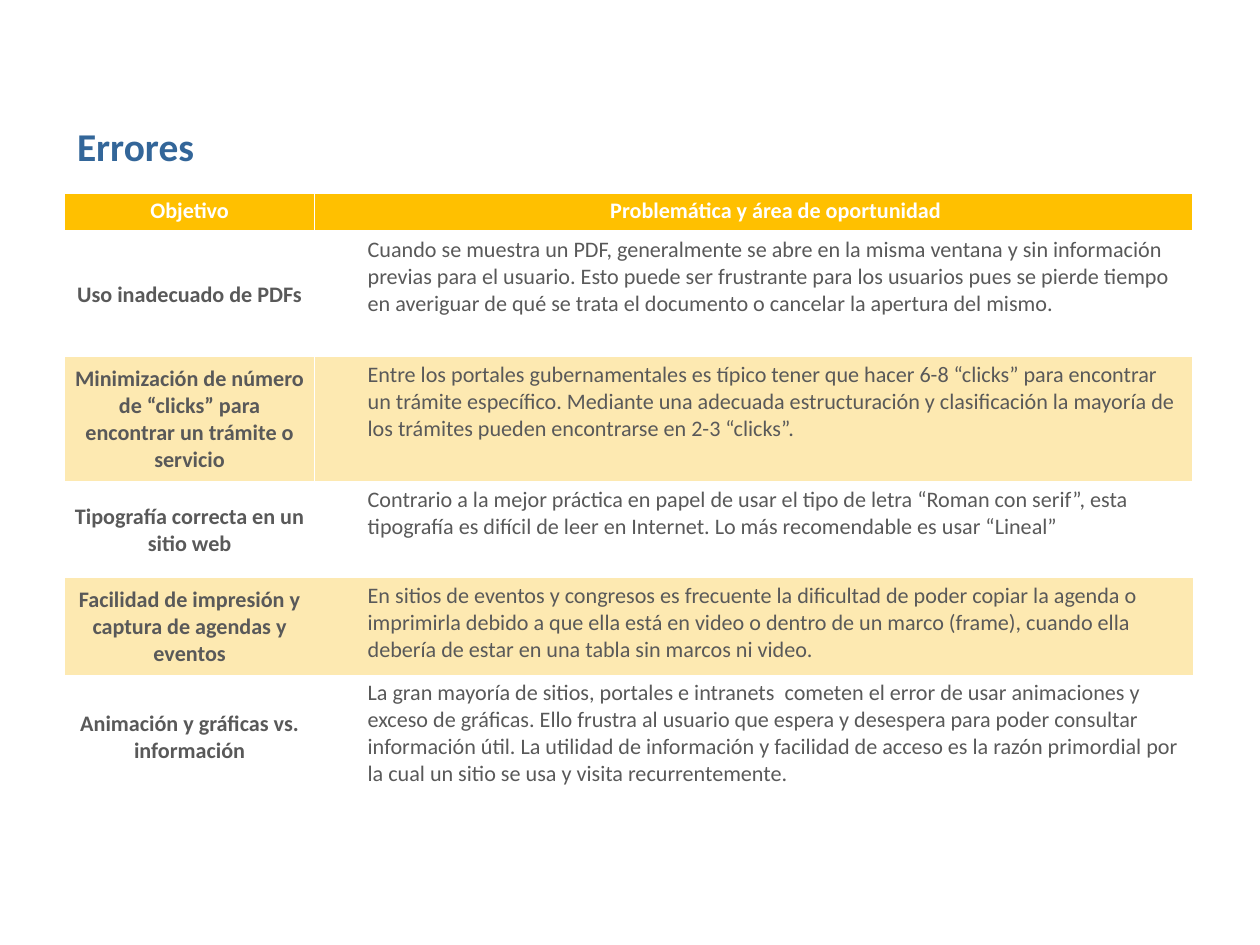
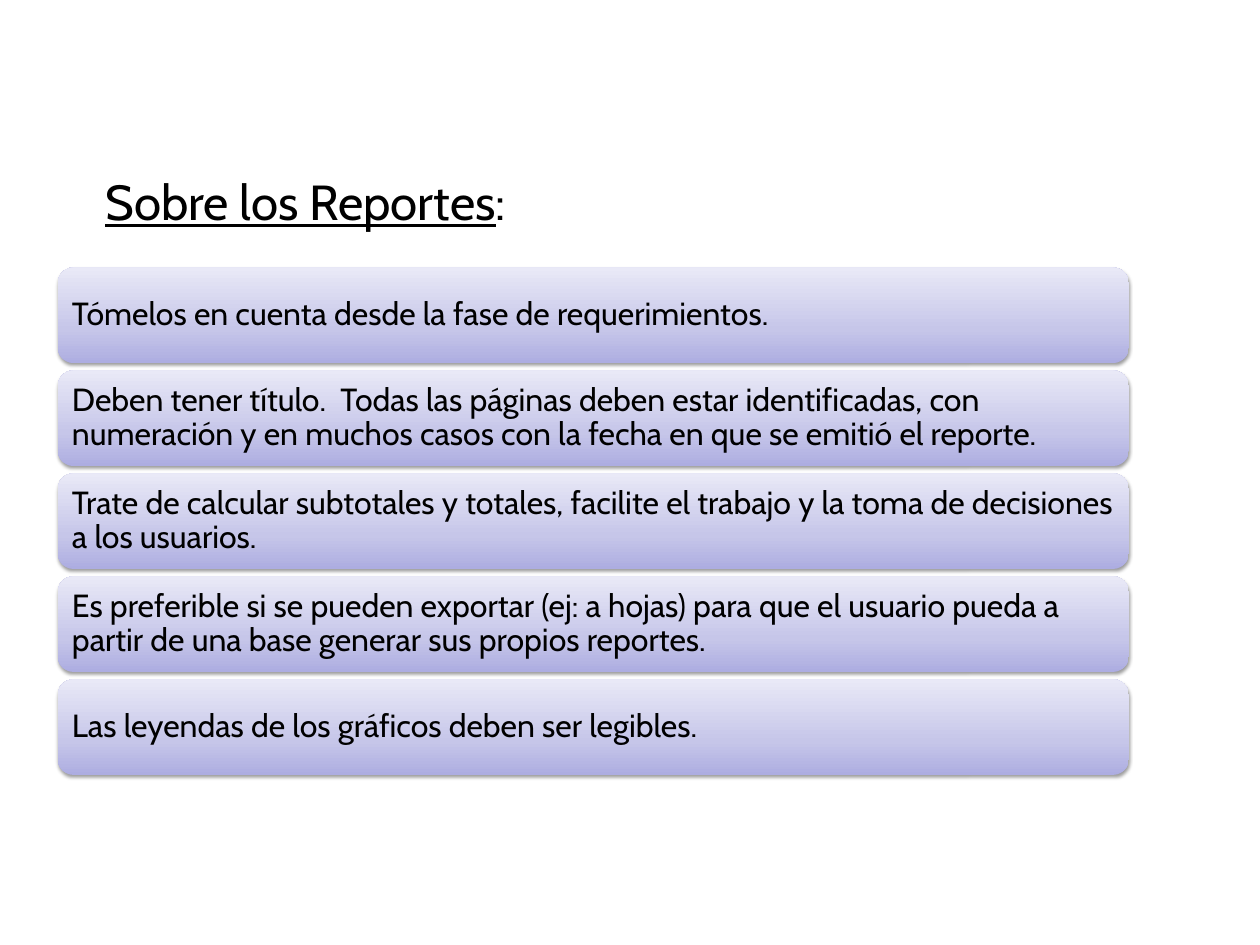
"""Build two slides: a table of web site errors and a list of report guidelines."""
from pptx import Presentation, util as u
from pptx.dml.color import RGBColor
from pptx.enum import shapes, text
from pptx.oxml import parse_xml
from pptx.oxml.ns import qn

NAMESPACE = 'xmlns:a="http://schemas.openxmlformats.org/drawingml/2006/main"'
PLAIN_TABLE = "{2D5ABB26-0587-4C30-8999-92F81FD0307C}"
WHITE, BLACK, GRAY, BLUE = "FFFFFF", "000000", "595959", "336699"
GOLD, CREAM = "FFC000", "FDE9B1"
GRADIENT = [(0, "ADADE1"), (35, "C6C6E9"), (100, "E9E9F7")]

ERRORS = [
    ("Objetivo", "Problemática y área de oportunidad"),
    ("Uso inadecuado de PDFs",
     "Cuando se muestra un PDF, generalmente se abre en la misma ventana y sin información "
     "previas para el usuario. Esto puede ser frustrante para los usuarios pues se pierde tiempo "
     "en averiguar de qué se trata el documento o cancelar la apertura del mismo."),
    ("Minimización de número de “clicks” para encontrar un trámite o servicio",
     "Entre los portales gubernamentales es típico tener que hacer 6-8 “clicks” para encontrar "
     "un trámite específico. Mediante una adecuada estructuración y clasificación la mayoría de "
     "los trámites pueden encontrarse en 2-3 “clicks”."),
    ("Tipografía correcta en un sitio web",
     "Contrario a la mejor práctica en papel de usar el tipo de letra “Roman con serif”, esta "
     "tipografía es difícil de leer en Internet. Lo más recomendable es usar “Lineal”"),
    ("Facilidad de impresión y captura de agendas y eventos",
     "En sitios de eventos y congresos es frecuente la dificultad de poder copiar la agenda o "
     "imprimirla debido a que ella está en video o dentro de un marco (frame), cuando ella "
     "debería de estar en una tabla sin marcos ni video."),
    ("Animación y gráficas vs. información",
     "La gran mayoría de sitios, portales e intranets  cometen el error de usar animaciones y "
     "exceso de gráficas. Ello frustra al usuario que espera y desespera para poder consultar "
     "información útil. La utilidad de información y facilidad de acceso es la razón primordial "
     "por la cual un sitio se usa y visita recurrentemente."),
]
COLUMN_WIDTHS = [2.82, 9.91]
ROW_HEIGHTS = [0.44, 1.41, 1.41, 1.09, 1.09, 1.41]
ROW_FILLS = [GOLD, None, CREAM, None, CREAM, None]
BORDERLESS_ROW = 4

GUIDELINES = [
    "Tómelos en cuenta desde la fase de requerimientos.",
    "Deben tener título.  Todas las páginas deben estar identificadas, con numeración y en "
    "muchos casos con la fecha en que se emitió el reporte.",
    "Trate de calcular subtotales y totales, facilite el trabajo y la toma de decisiones a los "
    "usuarios.",
    "Es preferible si se pueden exportar (ej: a hojas) para que el usuario pueda a partir de una "
    "base generar sus propios reportes.",
    "Las leyendas de los gráficos deben ser legibles.",
]
BAR_LEFT, BAR_TOP, BAR_WIDTH, BAR_HEIGHT, BAR_PITCH = 0.65, 3.02, 12.09, 1.08, 1.1625


def color(value):
    return RGBColor.from_string(value)


def style(paragraph, font, size, value, bold=False):
    for run in paragraph.runs:
        run.font.name, run.font.size, run.font.bold = font, u.Pt(size), bold
        run.font.color.rgb = color(value)


def set_margins(frame, inches):
    frame.margin_left = frame.margin_right = u.Inches(inches)
    frame.margin_top = frame.margin_bottom = u.Inches(inches)


def add_titled_slide(presentation, pieces, box, anchor, font):
    slide = presentation.slides.add_slide(presentation.slide_layouts[5])
    title = slide.shapes.title
    title.left, title.top, title.width, title.height = map(u.Inches, box)
    frame = title.text_frame
    frame.word_wrap, frame.auto_size = True, text.MSO_AUTO_SIZE.NONE
    frame.vertical_anchor = anchor
    set_margins(frame, 0.06)
    paragraph = frame.paragraphs[0]
    paragraph.alignment = text.PP_ALIGN.LEFT
    for piece in pieces:
        paragraph.add_run().text = piece
    style(paragraph, *font)
    return slide, paragraph


def set_borders(cell, widths):
    properties = cell._tc.get_or_add_tcPr()
    for index, (side, width) in enumerate(zip("LRTB", widths)):
        properties.insert(index, parse_xml(
            f'<a:ln{side} {NAMESPACE} w="{u.Pt(width)}"><a:solidFill>'
            f'<a:srgbClr val="{WHITE}"/></a:solidFill></a:ln{side}>'))


def fill_cell(cell, words, row, column):
    header, label = row == 0, column == 0
    cell.text_frame.text = words
    paragraph = cell.text_frame.paragraphs[0]
    style(paragraph, "Calibri", 18, WHITE if header else GRAY, header or label)
    paragraph.alignment = text.PP_ALIGN.CENTER if header or label else text.PP_ALIGN.LEFT
    if label and not header:
        cell.vertical_anchor = text.MSO_ANCHOR.MIDDLE
    if not label:
        paragraph.level = 1
        paragraph._p.get_or_add_pPr().set("marL", str(u.Inches(0.5)))
    if ROW_FILLS[row]:
        cell.fill.solid()
        cell.fill.fore_color.rgb = color(ROW_FILLS[row])
    else:
        cell.fill.background()
    if row != BORDERLESS_ROW:
        top, bottom = 3 if row == 1 else 1, 3 if header else 1
        if row == BORDERLESS_ROW - 1:
            bottom = 0
        if row == BORDERLESS_ROW + 1:
            top = 0
        set_borders(cell, (1, 1, top, bottom))


def add_error_table(slide):
    frame = slide.shapes.add_table(
        len(ERRORS), len(COLUMN_WIDTHS), u.Inches(0.73), u.Inches(2.18),
        u.Inches(sum(COLUMN_WIDTHS)), u.Inches(sum(ROW_HEIGHTS)))
    table = frame.table
    table.first_row = table.horz_banding = False
    table._tbl.tblPr.find(qn("a:tableStyleId")).text = PLAIN_TABLE
    for column, width in zip(table.columns, COLUMN_WIDTHS):
        column.width = u.Inches(width)
    for row, height in zip(table.rows, ROW_HEIGHTS):
        row.height = u.Inches(height)
    for row, entries in enumerate(ERRORS):
        for column, words in enumerate(entries):
            fill_cell(table.cell(row, column), words, row, column)


def paint_bar(bar):
    bar.line.fill.background()
    bar.shadow.inherit = False
    stops = "".join(f'<a:gs pos="{share * 1000}"><a:srgbClr val="{value}"/></a:gs>'
                    for share, value in GRADIENT)
    properties = bar._element.spPr
    properties.find(qn("a:ln")).addprevious(parse_xml(
        f'<a:gradFill {NAMESPACE} rotWithShape="1"><a:gsLst>{stops}</a:gsLst>'
        '<a:lin ang="16200000" scaled="0"/></a:gradFill>'))
    properties.find(qn("a:effectLst")).append(parse_xml(
        f'<a:outerShdw {NAMESPACE} blurRad="{u.Pt(3.1)}" dist="{u.Pt(1.6)}" dir="5400000" '
        f'rotWithShape="0"><a:srgbClr val="{BLACK}"><a:alpha val="38000"/></a:srgbClr>'
        '</a:outerShdw>'))


def add_guideline_bars(slide):
    for index, words in enumerate(GUIDELINES):
        bar = slide.shapes.add_shape(
            shapes.MSO_SHAPE.ROUNDED_RECTANGLE, u.Inches(BAR_LEFT),
            u.Inches(BAR_TOP + index * BAR_PITCH), u.Inches(BAR_WIDTH), u.Inches(BAR_HEIGHT))
        paint_bar(bar)
        frame = bar.text_frame
        frame.word_wrap, frame.vertical_anchor = True, text.MSO_ANCHOR.MIDDLE
        set_margins(frame, 0.11)
        frame.text = words
        paragraph = frame.paragraphs[0]
        paragraph.alignment, paragraph.line_spacing = text.PP_ALIGN.LEFT, 0.9
        style(paragraph, "Cabin", 26, BLACK)


def main():
    presentation = Presentation()
    presentation.slide_width, presentation.slide_height = u.Inches(14.22), u.Inches(10.67)
    errors, _ = add_titled_slide(
        presentation, ["Errores"], (0.81, 1.32, 9.3, 0.65), text.MSO_ANCHOR.TOP,
        ("Calibri", 32, BLUE, True))
    add_error_table(errors)
    reports, heading = add_titled_slide(
        presentation, ["Sobre los Reportes", ":"], (1.13, 1.71, 12.09, 0.95),
        text.MSO_ANCHOR.BOTTOM, ("Cabin", 40, BLACK))
    heading.line_spacing = 1.3
    heading.runs[0].font.underline = True
    add_guideline_bars(reports)
    presentation.save("out.pptx")


if __name__ == "__main__":
    main()
